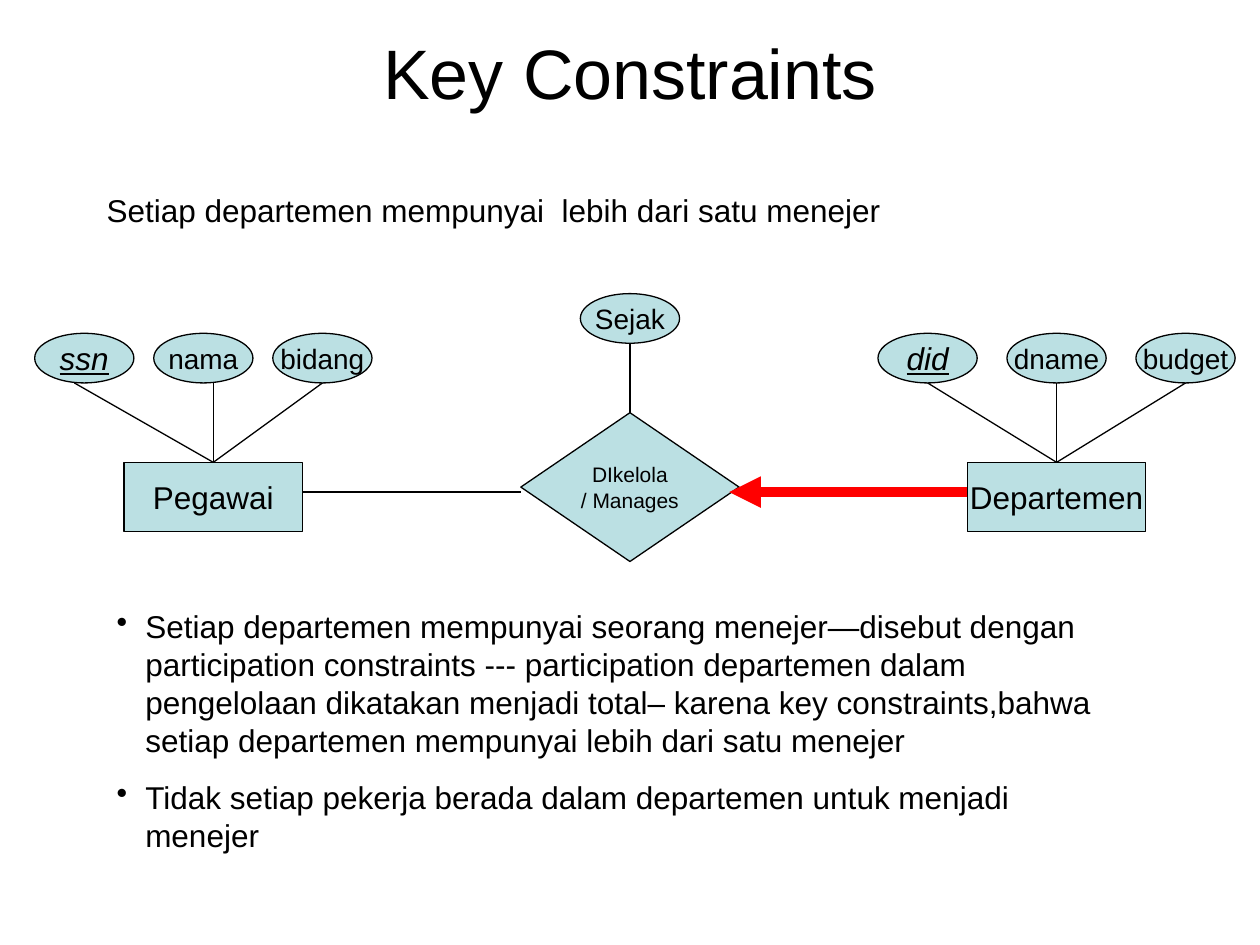
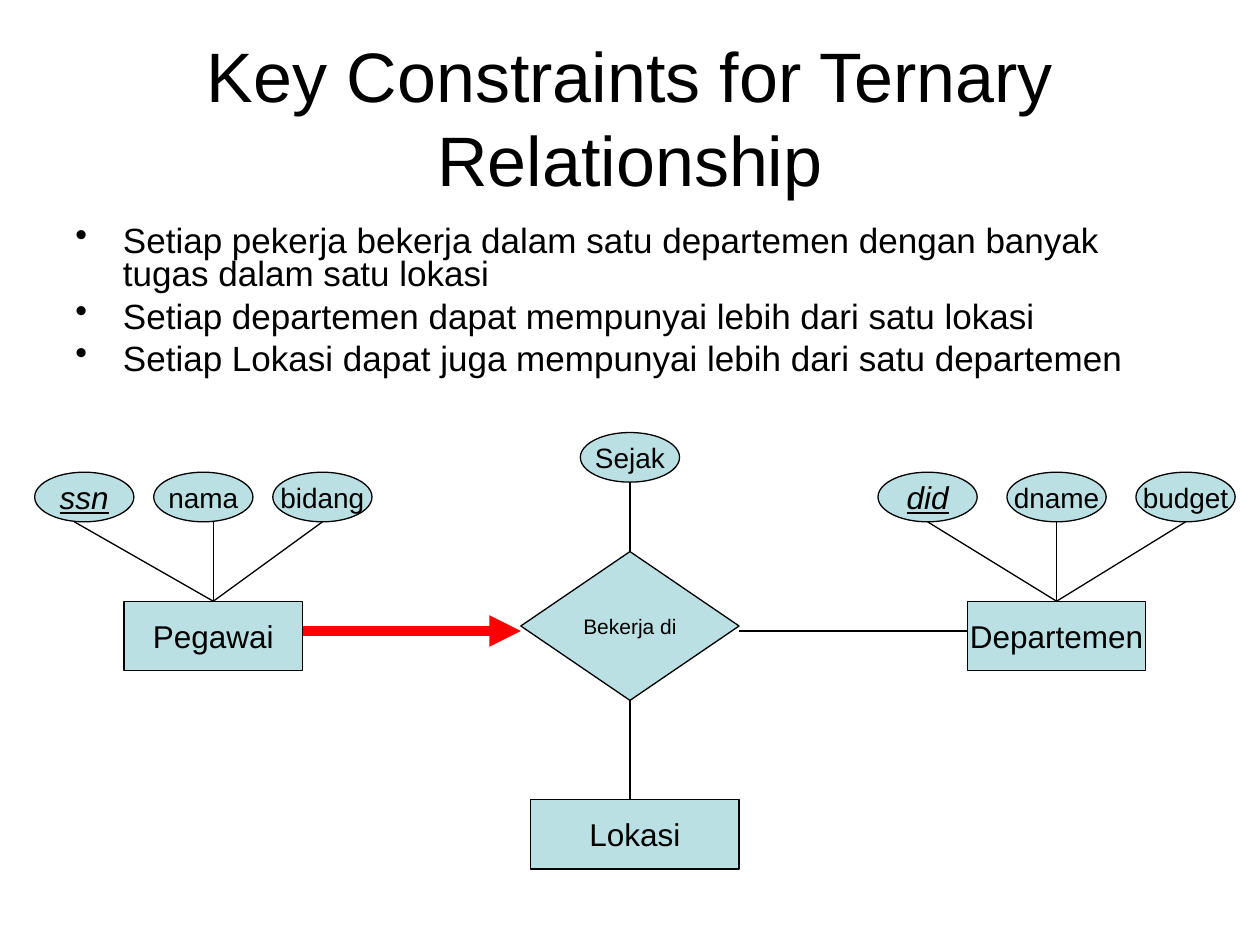
from dataclasses import dataclass
from typing import Optional

import lxml.etree
import pptx
import pptx.dml.color
import pptx.enum.shapes
import pptx.enum.text
import pptx.oxml.ns
import pptx.util

SHAPE = pptx.enum.shapes.MSO_SHAPE
ALIGN = pptx.enum.text.PP_ALIGN
ANCHOR = pptx.enum.text.MSO_ANCHOR
qn = pptx.oxml.ns.qn
TOP, BOTTOM = 0, 2  # connection sites


@dataclass(frozen=True)
class Theme:
    font: str = "Arial"
    ink: str = "000000"
    fill: str = "BBE0E3"
    arrow: str = "FF0000"
    title: float = 40
    bullets: float = 20
    body: float = 18
    attribute: float = 16
    relation: float = 12
    thin: float = 0.75
    thick: float = 6


@dataclass(frozen=True)
class Box:
    """An area in grid columns and rows."""
    column: float
    row: float
    width: float
    height: float

    def lengths(self) -> tuple:
        return tuple(map(grid, (self.column, self.row, self.width, self.height)))


@dataclass(frozen=True)
class TextStyle:
    size: float
    align: ALIGN = ALIGN.LEFT
    anchor: ANCHOR = ANCHOR.TOP
    space_before: float = 0
    line_spacing: Optional[float] = None
    hanging: float = 0  # bullet indent in columns
    wrap: bool = True
    key: bool = False


@dataclass(frozen=True)
class Attribute:
    label: str
    column: float
    line_column: float
    key: bool = False


@dataclass(frozen=True)
class Entity:
    label: str
    column: float
    attributes: tuple


@dataclass(frozen=True)
class Link:
    start: float
    end: float
    arrow: bool = False


THEME = Theme()
COLUMNS, ROWS = 127, 95.25
MIDDLE = COLUMNS / 2
ENTITY_WIDTH, ENTITY_HEIGHT = 18, 7
OVAL_WIDTH, OVAL_HEIGHT = 10, 5
DIAMOND_WIDTH, DIAMOND_HEIGHT = 22, 15
# Rows measured from the top of the entities
ATTRIBUTE_RISE, SINCE_RISE, DIAMOND_RISE, LINK_DROP, PLACE_DROP = 13, 17, 5, 3, 20

ENTITIES = (
    Entity("Pegawai", 12.5, (
        Attribute("ssn", 3.5, 7.5, key=True),
        Attribute("nama", 15.5, 21.5),
        Attribute("bidang", 27.5, 32.5))),
    Entity("Departemen", 97.5, (
        Attribute("did", 88.5, 93.5, key=True),
        Attribute("dname", 101.5, 106.5),
        Attribute("budget", 114.5, 119.5))),
)
EMPLOYEE_EDGE = ENTITIES[0].column + ENTITY_WIDTH
DEPARTMENT_EDGE = ENTITIES[1].column
DIAMOND_LEFT = MIDDLE - DIAMOND_WIDTH / 2
DIAMOND_RIGHT = MIDDLE + DIAMOND_WIDTH / 2


def grid(steps: float) -> pptx.util.Length:
    """Grid steps of two millimetres."""
    return pptx.util.Mm(2 * steps)


def rgb(value: str) -> pptx.dml.color.RGBColor:
    return pptx.dml.color.RGBColor.from_string(value)


def add_bullet(para, hanging: float) -> None:
    properties = para._p.get_or_add_pPr()
    properties.set("marL", str(grid(hanging)))
    properties.set("indent", str(-grid(hanging)))
    lxml.etree.SubElement(properties, qn("a:buChar"), char="•")


def write(frame, lines: tuple, style: TextStyle) -> None:
    frame.word_wrap = style.wrap
    frame.vertical_anchor = style.anchor
    for index, line in enumerate(lines):
        para = frame.paragraphs[0] if index == 0 else frame.add_paragraph()
        para.text = line
        para.alignment = style.align
        para.space_before = pptx.util.Pt(style.space_before)
        if style.line_spacing:
            para.line_spacing = style.line_spacing
        if style.hanging:
            add_bullet(para, style.hanging)
        font = para.font
        font.name = THEME.font
        font.size = pptx.util.Pt(style.size)
        font.color.rgb = rgb(THEME.ink)
        if style.key:
            font.italic = font.underline = True


def add_text(page, box: Box, lines: tuple, style: TextStyle) -> None:
    write(page.shapes.add_textbox(*box.lengths()).text_frame, lines, style)


def add_title(page, text: str, height: float) -> None:
    add_text(page, Box(6.35, 3.8, 114.3, height), (text,),
             TextStyle(THEME.title, ALIGN.CENTER, ANCHOR.MIDDLE))


def add_node(page, kind, box: Box, lines: tuple, size: float, key: bool = False):
    node = page.shapes.add_shape(kind, *box.lengths())
    node.shadow.inherit = False
    node.fill.solid()
    node.fill.fore_color.rgb = rgb(THEME.fill)
    node.line.color.rgb = rgb(THEME.ink)
    node.line.width = pptx.util.Pt(THEME.thin)
    write(node.text_frame, lines,
          TextStyle(size, ALIGN.CENTER, ANCHOR.MIDDLE, wrap=False, key=key))
    return node


def add_line(page, start: tuple, end: tuple, arrow: bool = False):
    line = page.shapes.add_connector(
        pptx.enum.shapes.MSO_CONNECTOR.STRAIGHT, *map(grid, start + end))
    line.line.color.rgb = rgb(THEME.arrow if arrow else THEME.ink)
    line.line.width = pptx.util.Pt(THEME.thick if arrow else THEME.thin)
    if arrow:
        lxml.etree.SubElement(line.line._get_or_add_ln(), qn("a:tailEnd"), type="triangle")
    lxml.etree.SubElement(line._element.spPr, qn("a:effectLst"))
    return line


def add_oval(page, label: str, column: float, row: float, key: bool = False) -> None:
    add_node(page, SHAPE.OVAL, Box(column, row, OVAL_WIDTH, OVAL_HEIGHT), (label,),
             THEME.body if key else THEME.attribute, key)


def add_entity(page, entity: Entity, row: float) -> None:
    """Draw an entity with its attributes above it."""
    node = add_node(page, SHAPE.RECTANGLE,
                    Box(entity.column, row, ENTITY_WIDTH, ENTITY_HEIGHT),
                    (entity.label,), THEME.body)
    oval_row = row - ATTRIBUTE_RISE
    for attribute in entity.attributes:
        add_oval(page, attribute.label, attribute.column, oval_row, attribute.key)
        line = add_line(page, (entity.column + ENTITY_WIDTH / 2, row),
                        (attribute.line_column, oval_row + OVAL_HEIGHT))
        line.begin_connect(node, TOP)


def add_diagram(page, row: float, relation: tuple, links: tuple):
    """Draw both entities and their relationship; return the diamond."""
    for entity in ENTITIES:
        add_entity(page, entity, row)
    diamond_row, since_row = row - DIAMOND_RISE, row - SINCE_RISE
    diamond = add_node(page, SHAPE.DIAMOND,
                       Box(DIAMOND_LEFT, diamond_row, DIAMOND_WIDTH, DIAMOND_HEIGHT),
                       relation, THEME.relation)
    add_oval(page, "Sejak", MIDDLE - OVAL_WIDTH / 2, since_row)
    line = add_line(page, (MIDDLE, diamond_row), (MIDDLE, since_row + OVAL_HEIGHT))
    line.begin_connect(diamond, TOP)
    for link in links:
        add_line(page, (link.start, row + LINK_DROP), (link.end, row + LINK_DROP), link.arrow)
    return diamond


def build_key_constraints(page) -> None:
    add_title(page, "Key Constraints", 6.9)
    add_diagram(page, 46.6, ("DIkelola", "/ Manages"), (
        Link(EMPLOYEE_EDGE, DIAMOND_LEFT),
        Link(DEPARTMENT_EDGE, DIAMOND_RIGHT - 1, arrow=True)))
    add_text(page, Box(9.5, 18.6, 103, 5),
             ("Setiap departemen mempunyai  lebih dari satu menejer",),
             TextStyle(THEME.body, space_before=11.2))
    add_text(page, Box(10.5, 60.6, 103, 26), (
        "Setiap departemen mempunyai seorang menejer—disebut dengan participation "
        "constraints --- participation departemen dalam pengelolaan dikatakan menjadi "
        "total– karena key constraints,bahwa setiap departemen mempunyai lebih dari "
        "satu menejer",
        "Tidak setiap pekerja berada dalam departemen untuk menjadi menejer",
    ), TextStyle(THEME.body, space_before=11.2, hanging=2.9))


def build_ternary_relationship(page) -> None:
    row = 60.6
    add_title(page, "Key Constraints for Ternary Relationship", 15.9)
    add_text(page, Box(6.35, 22.2, 114.3, 18.4), (
        "Setiap pekerja bekerja dalam satu departemen dengan banyak tugas dalam satu lokasi",
        "Setiap departemen dapat mempunyai lebih dari satu lokasi",
        "Setiap Lokasi dapat juga mempunyai lebih dari satu departemen",
    ), TextStyle(THEME.bullets, space_before=5, line_spacing=0.8, hanging=4.8))
    diamond = add_diagram(page, row, ("Bekerja di",), (
        Link(DIAMOND_RIGHT, DEPARTMENT_EDGE),
        Link(EMPLOYEE_EDGE, DIAMOND_LEFT, arrow=True)))
    place_row = row + PLACE_DROP
    add_node(page, SHAPE.RECTANGLE, Box(53.5, place_row, 21, ENTITY_HEIGHT),
             ("Lokasi",), THEME.body)
    line = add_line(page, (MIDDLE, row - DIAMOND_RISE + DIAMOND_HEIGHT), (MIDDLE, place_row))
    line.begin_connect(diamond, BOTTOM)


def main() -> None:
    deck = pptx.Presentation()
    deck.slide_width, deck.slide_height = grid(COLUMNS), grid(ROWS)
    blank = deck.slide_layouts[6]
    for build in (build_key_constraints, build_ternary_relationship):
        build(deck.slides.add_slide(blank))
    deck.save("out.pptx")


if __name__ == "__main__":
    main()
